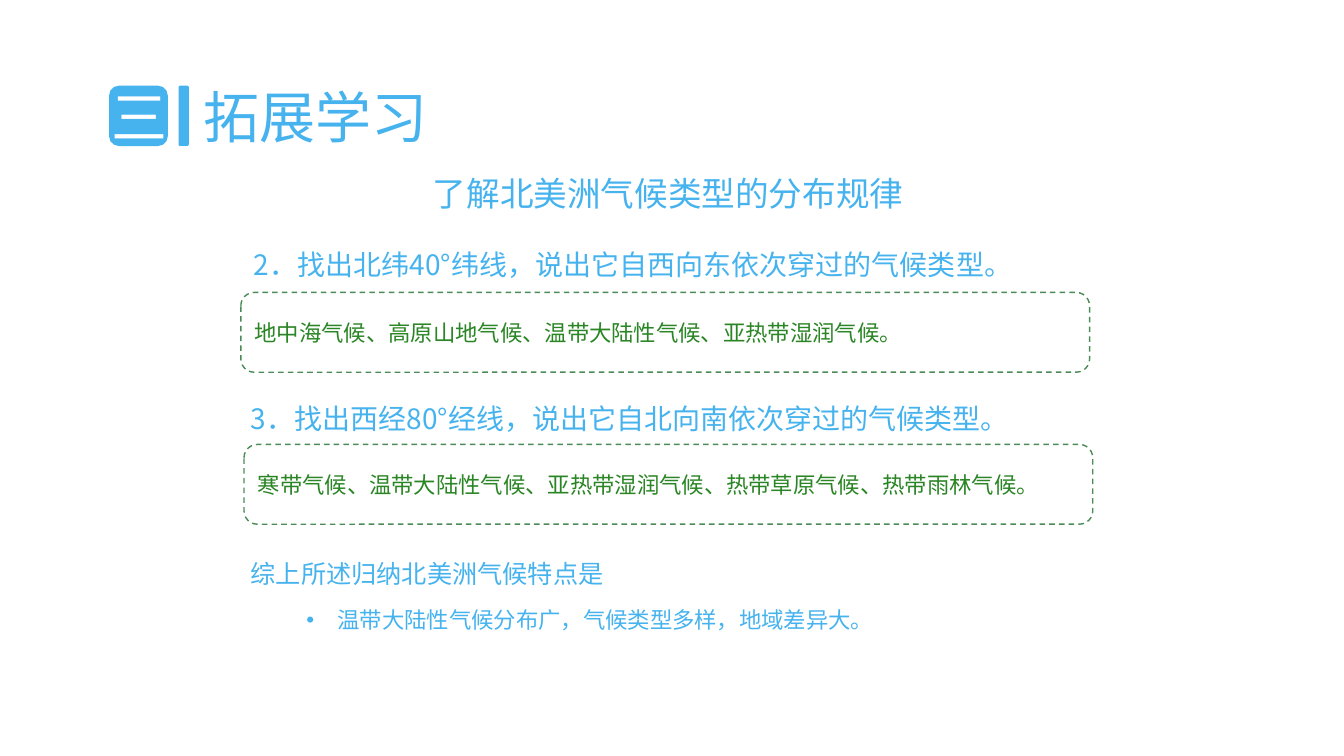
from lxml import etree
from pptx import Presentation
from pptx.dml.color import RGBColor
from pptx.enum.dml import MSO_LINE
from pptx.enum.shapes import MSO_SHAPE
from pptx.enum.text import MSO_ANCHOR, MSO_AUTO_SIZE, PP_ALIGN
from pptx.oxml.ns import qn
from pptx.util import Cm, Pt

SKY = RGBColor(0x46, 0xB3, 0xEE)
WHITE = RGBColor(0xFF, 0xFF, 0xFF)
LEAF = RGBColor(0x2A, 0x85, 0x24)
MOSS = RGBColor(0x4A, 0x8B, 0x57)
FONT = "Noto Sans CJK SC"

ROUNDED = MSO_SHAPE.ROUNDED_RECTANGLE
DASH = MSO_LINE.DASH
TOP, MIDDLE = MSO_ANCHOR.TOP, MSO_ANCHOR.MIDDLE
LEFT, CENTER = PP_ALIGN.LEFT, PP_ALIGN.CENTER
GROW = MSO_AUTO_SIZE.SHAPE_TO_FIT_TEXT

# question, its place (left, top, width), answer, its place (left, top)
EXERCISES = [
    ("2．找出北纬40°纬线，说出它自西向东依次穿过的气候类型。", (6.15, 6.05, 21.59),
     "地中海气候、高原山地气候、温带大陆性气候、亚热带湿润气候。", (6.07, 7.37)),
    ("3．找出西经80°经线，说出它自北向南依次穿过的气候类型。", (6.07, 9.93, 22.86),
     "寒带气候、温带大陆性气候、亚热带湿润气候、热带草原气候、热带雨林气候。", (6.15, 11.2)),
]


class LessonSlide:
    def __init__(self, slide):
        self.shapes = slide.shapes

    def fill_text(self, frame, text, size, color, align=LEFT, bullet=False):
        paragraph = frame.paragraphs[0]
        paragraph.text = text
        paragraph.alignment = align
        properties = paragraph._p.get_or_add_pPr()
        if bullet:
            properties.set("marL", str(Cm(0.79)))
            properties.set("indent", str(-Cm(0.79)))
            etree.SubElement(properties, qn("a:buFont"), typeface="Arial")
            etree.SubElement(properties, qn("a:buChar"), char="•")
        font = paragraph.font
        font.size = Pt(size)
        font.name = FONT
        font.color.rgb = color
        etree.SubElement(properties.find(qn("a:defRPr")), qn("a:ea"), typeface=FONT)
        return paragraph

    def text(self, text, left, top, width, height, size, color=SKY,
             align=LEFT, anchor=MIDDLE, wrap=True, bullet=False):
        box = self.shapes.add_textbox(Cm(left), Cm(top), Cm(width), Cm(height))
        frame = box.text_frame
        frame.word_wrap = wrap
        frame.auto_size = GROW
        frame.vertical_anchor = anchor
        return self.fill_text(frame, text, size, color, align, bullet)

    def rounded(self, left, top, width, height):
        shape = self.shapes.add_shape(ROUNDED, Cm(left), Cm(top), Cm(width), Cm(height))
        shape.shadow.inherit = False
        return shape

    def block(self, left, top, width, height):
        """Solid blue piece of the section mark."""
        shape = self.rounded(left, top, width, height)
        shape.fill.solid()
        shape.fill.fore_color.rgb = SKY
        shape.line.fill.background()

    def question(self, text, left, top, width):
        self.text(text, left, top, width, 1.14, 20).line_spacing = 1.1

    def answer(self, text, left, top):
        outline = self.rounded(left, top, 21.39, 2.01)
        outline.fill.background()
        line = outline.line
        line.color.rgb = MOSS
        line.width = Pt(1)
        line.dash_style = DASH
        frame = outline.text_frame
        frame.word_wrap = True
        frame.vertical_anchor = MIDDLE
        self.fill_text(frame, text, 16, LEAF)


def main():
    presentation = Presentation()
    presentation.slide_width = Cm(33.87)
    presentation.slide_height = Cm(19.05)
    lesson = LessonSlide(presentation.slides.add_slide(presentation.slide_layouts[6]))

    lesson.block(2.75, 2.16, 1.48, 1.52)
    lesson.block(4.5, 2.16, 0.26, 1.52)
    lesson.text("拓展学习", 4.88, 1.96, 6.22, 1.96, 40, anchor=TOP, wrap=False)
    lesson.text("三", 2.54, 1.96, 1.93, 1.96, 40, WHITE, CENTER, TOP, wrap=False)
    lesson.text("了解北美洲气候类型的分布规律", 8.16, 4.24, 17.35, 1.27, 24, align=CENTER)

    for question, question_place, answer, answer_place in EXERCISES:
        lesson.question(question, *question_place)
        lesson.answer(answer, *answer_place)

    lesson.text("综上所述归纳北美洲气候特点是", 6.07, 13.94, 12.47, 1.02, 18)
    lesson.text("温带大陆性气候分布广，气候类型多样，地域差异大。", 7.47, 15.16, 14.99, 0.94, 16,
                anchor=TOP, wrap=False, bullet=True)

    presentation.save("out.pptx")


if __name__ == "__main__":
    main()
